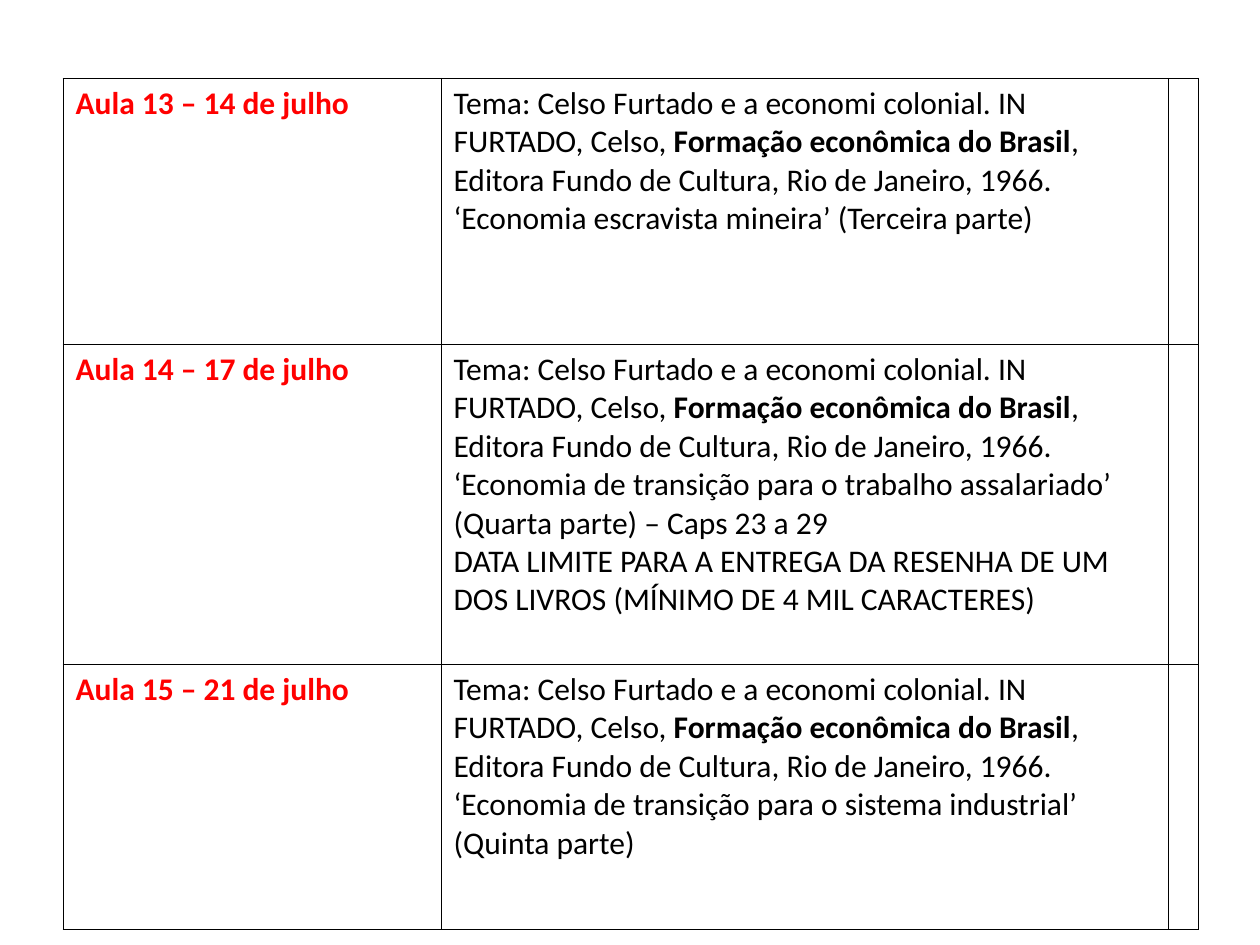
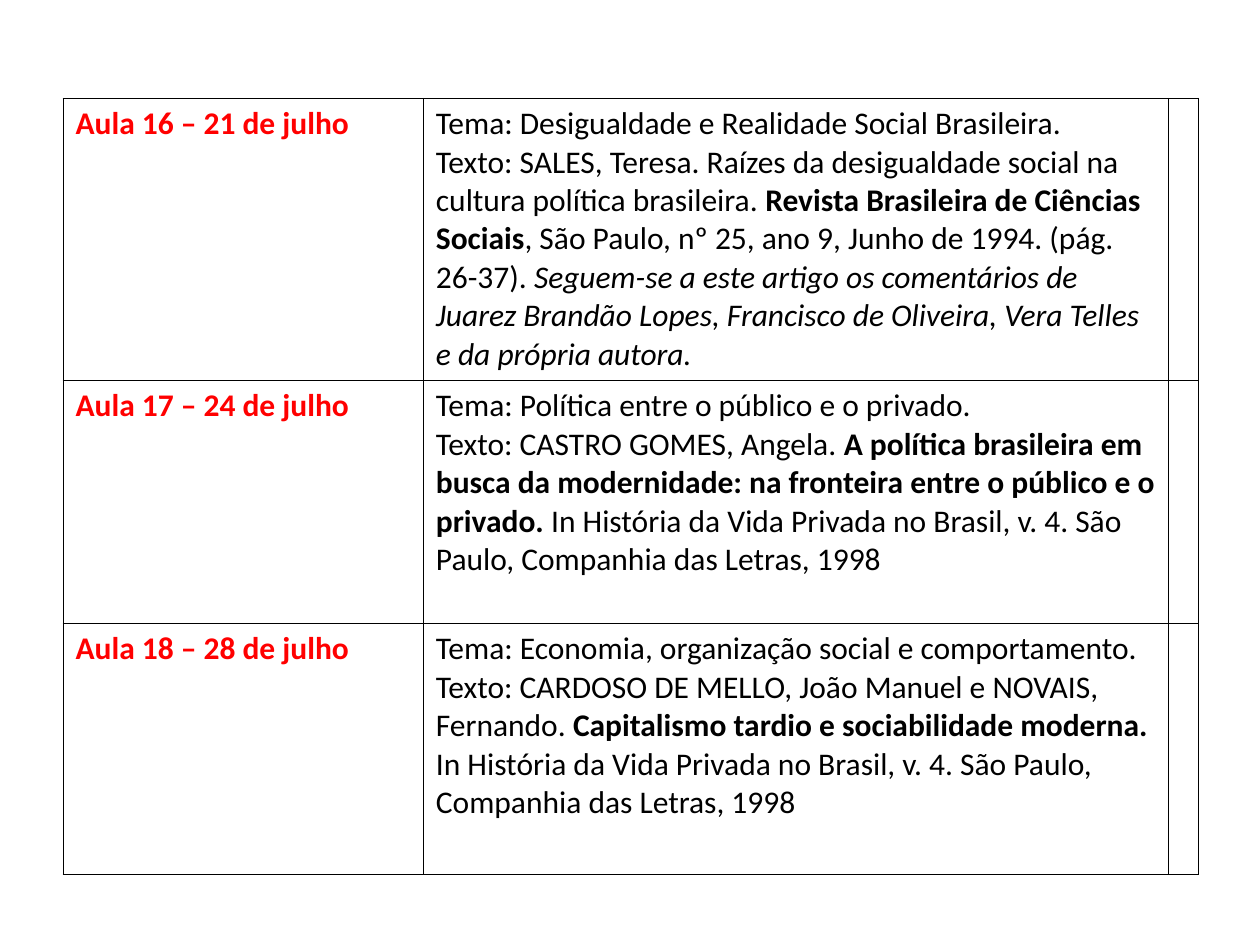
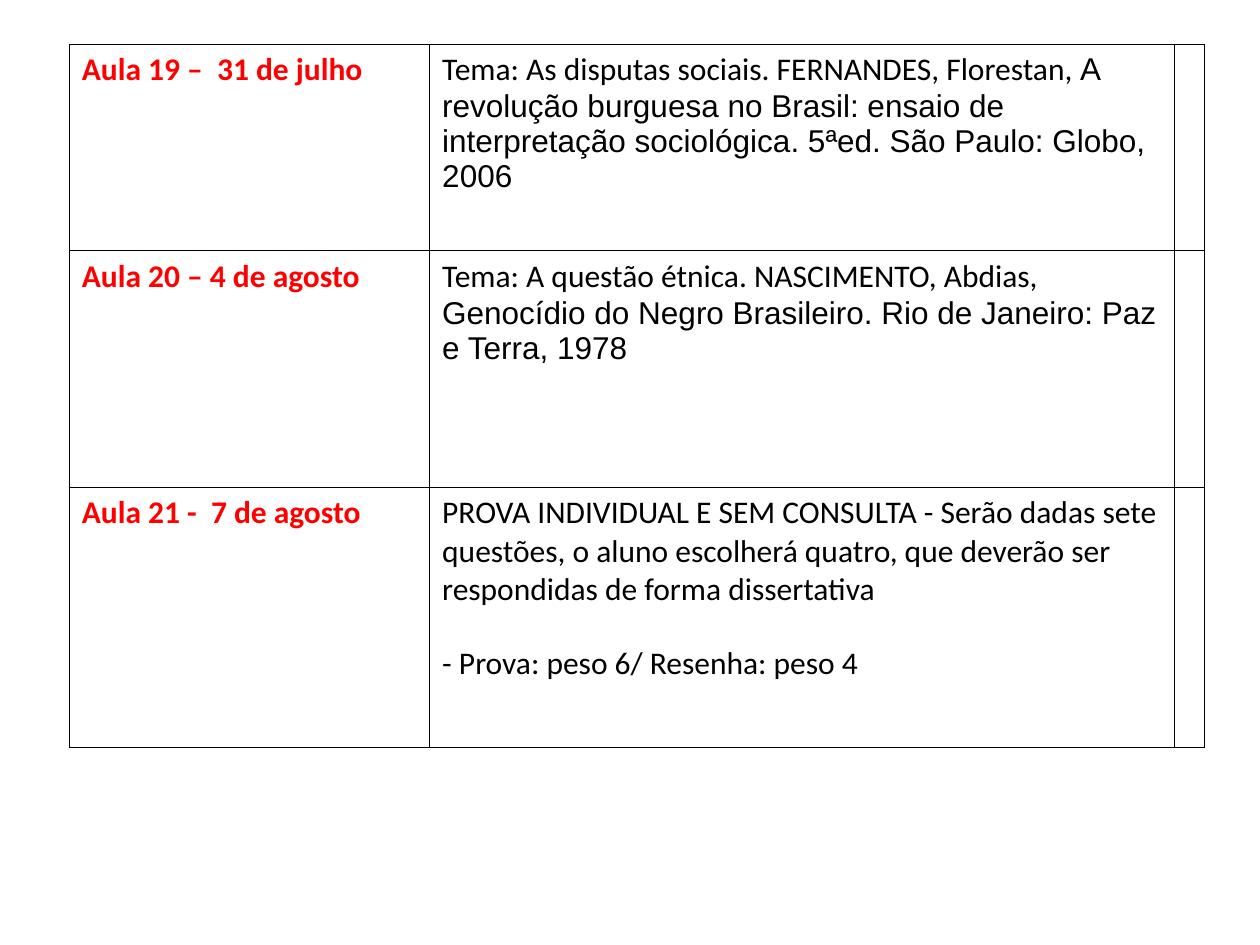
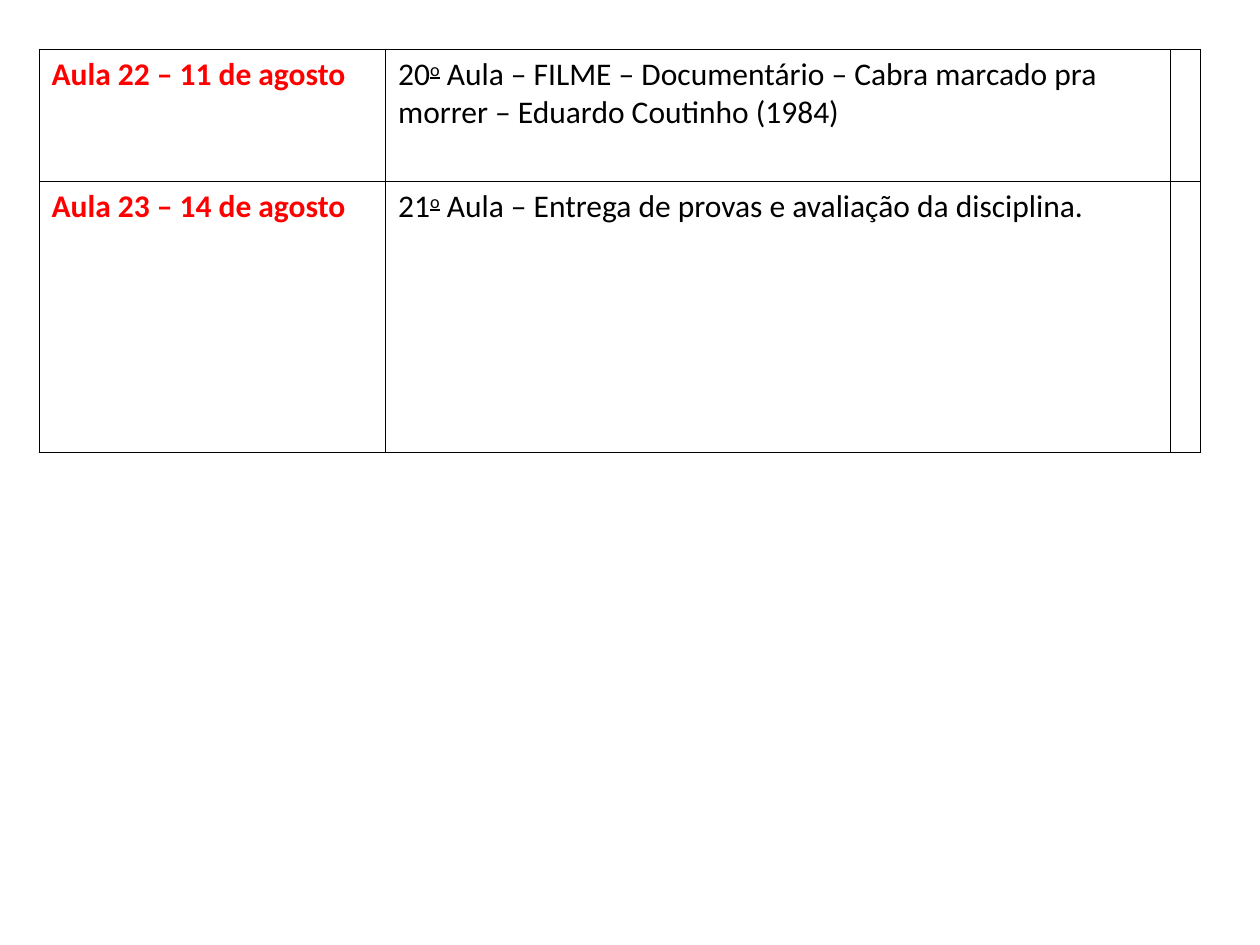
from lxml.etree import SubElement
from pptx import Presentation
from pptx.dml.color import RGBColor
from pptx.oxml.ns import qn
from pptx.util import Emu, Pt

PX = 9144
SLIDE_SIZE = (1000, 750)
RED = RGBColor(0xFF, 0x00, 0x00)
BLACK = RGBColor(0x00, 0x00, 0x00)
BODY_FONT = "Calibri"
CITATION_FONT = "Arial"
TEXT_SIZE = 18
BORDER_WIDTH = Pt(0.45)
BORDER_SIDES = ("a:lnL", "a:lnR", "a:lnT", "a:lnB")
NARROW_COLUMN = 24


def px(length):
    return Emu(length * PX)


def run(text, **style):
    return text, style


def line(*runs, gap=0):
    return runs, gap


def furtado(chapter, *more_lines):
    reference = line(
        run("Tema: Celso Furtado e a economi colonial. IN FURTADO, Celso, "),
        run("Formação econômica do Brasil", bold=True),
        run(f", Editora Fundo de Cultura, Rio de Janeiro, 1966. {chapter}"),
    )
    return [reference, *more_lines]


def vida_privada(theme, authors, title):
    return [
        line(run(f"Tema: {theme}")),
        line(
            run(f"Texto: {authors} "),
            run(f"{title} ", bold=True),
            run("In História da Vida Privada no Brasil, v. 4. São Paulo, "
                "Companhia das Letras, 1998"),
        ),
    ]


def themed_book(theme, book):
    return [line(run(f"Tema: {theme} "), run(book, font=CITATION_FONT))]


def numbered_class(number, subject):
    return [line(
        run(number),
        run("o", underline=True, baseline=30),
        run(f" Aula – {subject}"),
    )]


def add_text(paragraph, text, color=BLACK, font=BODY_FONT, bold=False,
             italic=False, underline=False, baseline=0):
    piece = paragraph.add_run()
    piece.text = text
    style = piece.font
    style.name = font
    style.size = Pt(TEXT_SIZE)
    style.bold = bold
    style.italic = italic
    style.underline = underline
    style.color.rgb = color
    if baseline:
        piece._r.get_or_add_rPr().set("baseline", str(baseline * 1000))


def fill_cell(cell, lines, **style):
    frame = cell.text_frame
    for index, (runs, gap) in enumerate(lines):
        paragraph = frame.add_paragraph() if index else frame.paragraphs[0]
        if gap:
            paragraph.space_before = Pt(gap)
        for text, run_style in runs:
            add_text(paragraph, text, **style, **run_style)


def outline_cell(cell):
    properties = cell._tc.get_or_add_tcPr()
    for side in BORDER_SIDES:
        border = SubElement(properties, qn(side), w=str(BORDER_WIDTH))
        fill = SubElement(border, qn("a:solidFill"))
        SubElement(fill, qn("a:srgbClr"), val=str(BLACK))
    cell.fill.background()


def add_schedule(prs, left, top, columns, classes):
    slide = prs.slides.add_slide(prs.slide_layouts[6])
    widths = (*columns, NARROW_COLUMN)
    heights = [height for height, _, _ in classes]
    schedule = slide.shapes.add_table(
        len(classes), len(widths), px(left), px(top),
        px(sum(widths)), px(sum(heights))).table
    schedule.first_row = False
    schedule.horz_banding = False
    for column, width in zip(schedule.columns, widths):
        column.width = px(width)
    for row, (height, date, content) in zip(schedule.rows, classes):
        row.height = px(height)
        fill_cell(row.cells[0], [line(run(date))], color=RED, bold=True)
        fill_cell(row.cells[1], content)
        for cell in row.cells:
            outline_cell(cell)


COLONIAL_ECONOMY = [
    (211, "Aula 13 – 14 de julho",
     furtado("‘Economia escravista mineira’ (Terceira parte)")),
    (254, "Aula 14 – 17 de julho",
     furtado("‘Economia de transição para o trabalho assalariado’ "
             "(Quarta parte) – Caps 23 a 29",
             line(run("DATA LIMITE PARA A ENTREGA DA RESENHA DE UM DOS LIVROS "
                      "(MÍNIMO DE 4 MIL CARACTERES)")))),
    (211, "Aula 15 – 21 de julho",
     furtado("‘Economia de transição para o sistema industrial’ "
             "(Quinta parte)")),
]

SOCIETY_AND_POLITICS = [
    (224, "Aula 16 – 21 de julho", [
        line(run("Tema: Desigualdade e Realidade Social Brasileira.")),
        line(
            run("Texto: SALES, Teresa. Raízes da desigualdade social na "
                "cultura política brasileira. "),
            run("Revista Brasileira de Ciências Sociais", bold=True),
            run(", São Paulo, nº 25, ano 9, Junho de 1994. (pág. 26-37). "),
            run("Seguem-se a este artigo os comentários de Juarez Brandão "
                "Lopes, Francisco de Oliveira, Vera Telles e da própria "
                "autora.", italic=True),
        ),
    ]),
    (193, "Aula 17 – 24 de julho",
     vida_privada("Política entre o público e o privado.",
                  "CASTRO GOMES, Angela.",
                  "A política brasileira em busca da modernidade: na "
                  "fronteira entre o público e o privado.")),
    (199, "Aula 18 – 28 de julho",
     vida_privada("Economia, organização social e comportamento.",
                  "CARDOSO DE MELLO, João Manuel e NOVAIS, Fernando.",
                  "Capitalismo tardio e sociabilidade moderna.")),
]

DISPUTES_AND_EXAM = [
    (164, "Aula 19 –  31 de julho",
     themed_book("As disputas sociais. FERNANDES, Florestan,",
                 "A revolução burguesa no Brasil: ensaio de interpretação "
                 "sociológica. 5ªed. São Paulo: Globo, 2006")),
    (188, "Aula 20 – 4 de agosto",
     themed_book("A questão étnica. NASCIMENTO, Abdias,",
                 "Genocídio do Negro Brasileiro. Rio de Janeiro: "
                 "Paz e Terra, 1978")),
    (206, "Aula 21 -  7 de agosto", [
        line(run("PROVA INDIVIDUAL E SEM CONSULTA - Serão dadas sete questões, "
                 "o aluno escolherá quatro, que deverão ser respondidas de "
                 "forma dissertativa")),
        line(run("- Prova: peso 6/ Resenha: peso 4"), gap=20),
    ]),
]

CLOSING_CLASSES = [
    (105, "Aula 22 – 11 de agosto",
     numbered_class("20", "FILME – Documentário – Cabra marcado pra morrer – "
                          "Eduardo Coutinho (1984)")),
    (215, "Aula 23 – 14 de agosto",
     numbered_class("21", "Entrega de provas e avaliação da disciplina.")),
]


def main():
    prs = Presentation()
    prs.slide_width, prs.slide_height = map(px, SLIDE_SIZE)
    add_schedule(prs, 50, 62, (300, 577), COLONIAL_ECONOMY)
    add_schedule(prs, 50, 78, (286, 591), SOCIETY_AND_POLITICS)
    add_schedule(prs, 55, 35, (286, 591), DISPUTES_AND_EXAM)
    add_schedule(prs, 31, 39, (275, 623), CLOSING_CLASSES)
    prs.save("out.pptx")


if __name__ == "__main__":
    main()
